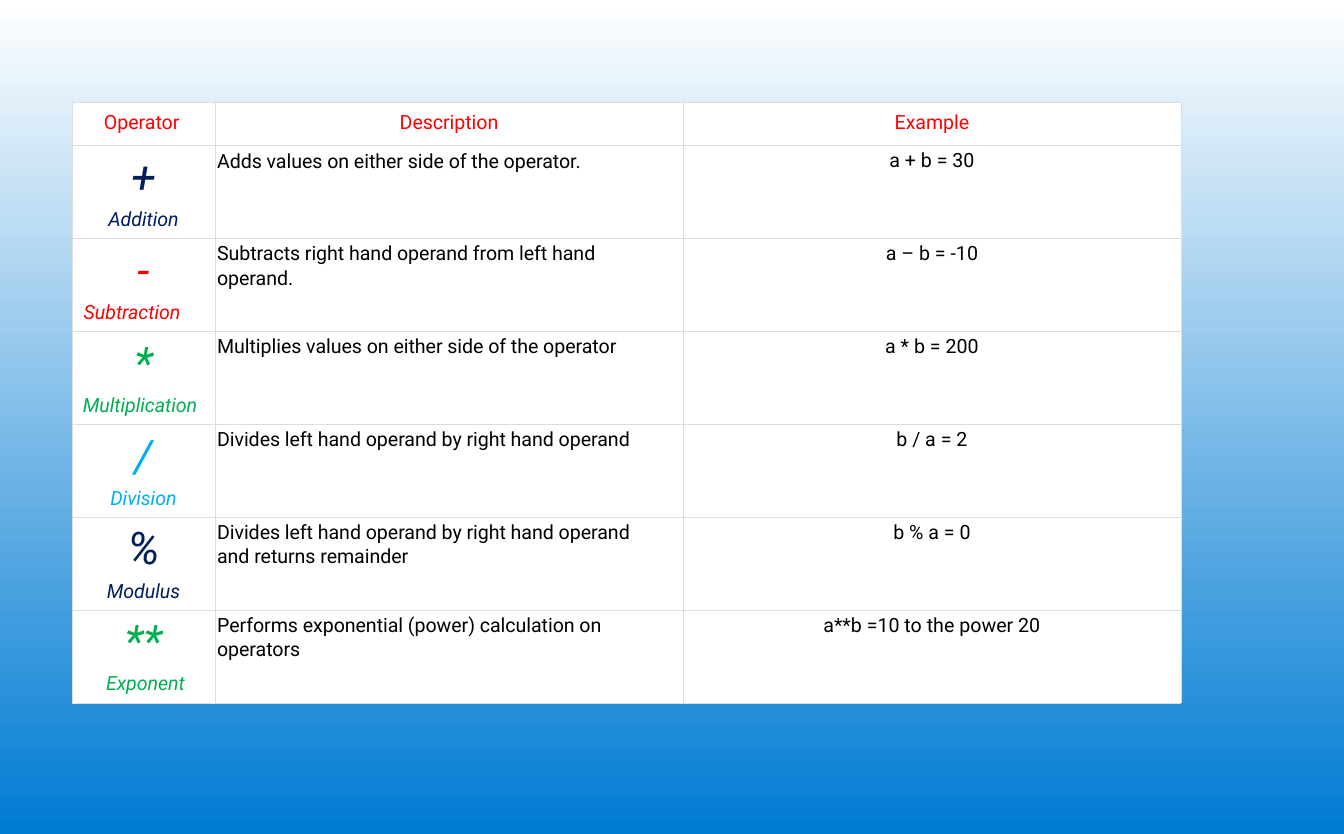
from dataclasses import dataclass, replace

from lxml.etree import SubElement
from pptx import Presentation
from pptx.dml.color import RGBColor as RGB
from pptx.enum.text import PP_ALIGN as Align
from pptx.oxml.ns import qn
from pptx.util import Cm, Pt


@dataclass(frozen=True)
class Theme:
    font: str = "Roboto"
    body_size: float = 14
    symbol_size: float = 32
    tracking: float = -0.05
    border_width: float = 0.5
    border: str = "DDDDDD"
    white: str = "FFFFFF"
    black: str = "000000"
    sky: str = "007BD3"
    red: str = "FF0000"
    navy: str = "001F5F"
    green: str = "00AF50"
    cyan: str = "00AFEF"


THEME = Theme()


@dataclass(frozen=True)
class ParaStyle:
    color: str = THEME.black
    size: float = THEME.body_size
    italic: bool = False
    align: Align = Align.CENTER
    indent: float = 0
    before: float = 3
    line_spacing: float = 1.0
    tracking: float = 0


@dataclass(frozen=True)
class Operator:
    symbol: str
    name: str
    color: str
    description: str
    example: str
    name_align: Align = Align.CENTER
    name_indent: float = 0


OPERATORS = [
    Operator("+", "Addition", THEME.navy,
             "Adds values on either side of the operator.", "a + b = 30"),
    Operator("-", "Subtraction", THEME.red,
             "Subtracts right hand operand from left hand operand.",
             "a – b = -10", Align.LEFT, 0.3),
    Operator("*", "Multiplication", THEME.green,
             "Multiplies values on either side of the operator",
             "a * b = 200", Align.LEFT, 0.28),
    Operator("/", "Division", THEME.cyan,
             "Divides left hand operand by right hand operand", "b / a = 2"),
    Operator("%", "Modulus", THEME.navy,
             "Divides left hand operand by right hand operand and returns remainder",
             "b % a = 0"),
    Operator("**", "Exponent", THEME.green,
             "Performs exponential (power) calculation on operators",
             "a**b =10 to the power 20", name_indent=0.1),
]
COLUMN_WIDTHS = [3.61, 11.79, 12.55]
HEADER_HEIGHT, ROW_HEIGHT = 1.1, 2.34
TABLE_LEFT, TABLE_TOP = 1.81, 2.57

HEADER = ParaStyle(THEME.red, before=6.5, tracking=THEME.tracking)
DESCRIPTION = ParaStyle(align=Align.LEFT, indent=0.05, before=2.2,
                        line_spacing=1.04, tracking=THEME.tracking)
EXAMPLE = ParaStyle()
HEADERS = [
    ("Operator", replace(HEADER, align=Align.LEFT, indent=0.81)),
    ("Description", HEADER),
    ("Example", HEADER),
]


def style_paragraph(p, style: ParaStyle) -> None:
    p.alignment = style.align
    p.space_before = Pt(style.before)
    p.line_spacing = style.line_spacing
    p._p.get_or_add_pPr().set("marL", str(Cm(style.indent)))
    for r in p.runs:
        r.font.name = THEME.font
        r.font.size = Pt(style.size)
        r.font.italic = style.italic
        r.font.color.rgb = RGB.from_string(style.color)
        r._r.get_or_add_rPr().set("spc", str(round(style.tracking * 100)))


def add_borders(cell) -> None:
    tc_pr = cell._tc.get_or_add_tcPr()
    for side in ("lnL", "lnR", "lnT", "lnB"):
        ln = SubElement(tc_pr, qn(f"a:{side}"), w=str(Pt(THEME.border_width)))
        fill = SubElement(ln, qn("a:solidFill"))
        SubElement(fill, qn("a:srgbClr"), val=THEME.border)


def fill_cell(cell, lines: list[tuple[str, ParaStyle]], top: float,
              right: float = 0) -> None:
    """Write one styled paragraph per line; margins are in centimetres."""
    cell.margin_left = cell.margin_bottom = Cm(0)
    cell.margin_top, cell.margin_right = Cm(top), Cm(right)
    add_borders(cell)
    cell.fill.solid()
    cell.fill.fore_color.rgb = RGB.from_string(THEME.white)
    tf = cell.text_frame
    tf.text = "\n".join(text for text, _ in lines)
    for p, (_, style) in zip(tf.paragraphs, lines):
        style_paragraph(p, style)


def fill_operator_row(table, row: int, op: Operator) -> None:
    symbol = ParaStyle(op.color, THEME.symbol_size, italic=True, before=4.5)
    name = ParaStyle(op.color, italic=True, align=op.name_align,
                     indent=op.name_indent, before=2.8, tracking=THEME.tracking)
    fill_cell(table.cell(row, 0), [(op.symbol, symbol), (op.name, name)], 0.15)
    fill_cell(table.cell(row, 1), [(op.description, DESCRIPTION)], 0.08, right=0.76)
    fill_cell(table.cell(row, 2), [(op.example, EXAMPLE)], 0.1)


def add_operator_table(slide) -> None:
    heights = [HEADER_HEIGHT] + [ROW_HEIGHT] * len(OPERATORS)
    table = slide.shapes.add_table(
        len(heights), len(HEADERS), Cm(TABLE_LEFT), Cm(TABLE_TOP),
        Cm(sum(COLUMN_WIDTHS)), Cm(sum(heights))).table
    for column, width in zip(table.columns, COLUMN_WIDTHS):
        column.width = Cm(width)
    for row, height in zip(table.rows, heights):
        row.height = Cm(height)
    for col, header in enumerate(HEADERS):
        fill_cell(table.cell(0, col), [header], 0.23)
    for row, op in enumerate(OPERATORS, start=1):
        fill_operator_row(table, row, op)


def paint_background(slide) -> None:
    fill = slide.background.fill
    fill.gradient()
    fill.gradient_angle = 90
    for stop, color in zip(fill.gradient_stops, (THEME.sky, THEME.white)):
        stop.color.rgb = RGB.from_string(color)


def main() -> None:
    prs = Presentation()
    prs.slide_width, prs.slide_height = Pt(960), Pt(595.5)
    slide = prs.slides.add_slide(prs.slide_layouts[6])
    paint_background(slide)
    add_operator_table(slide)
    prs.save("out.pptx")


if __name__ == "__main__":
    main()
